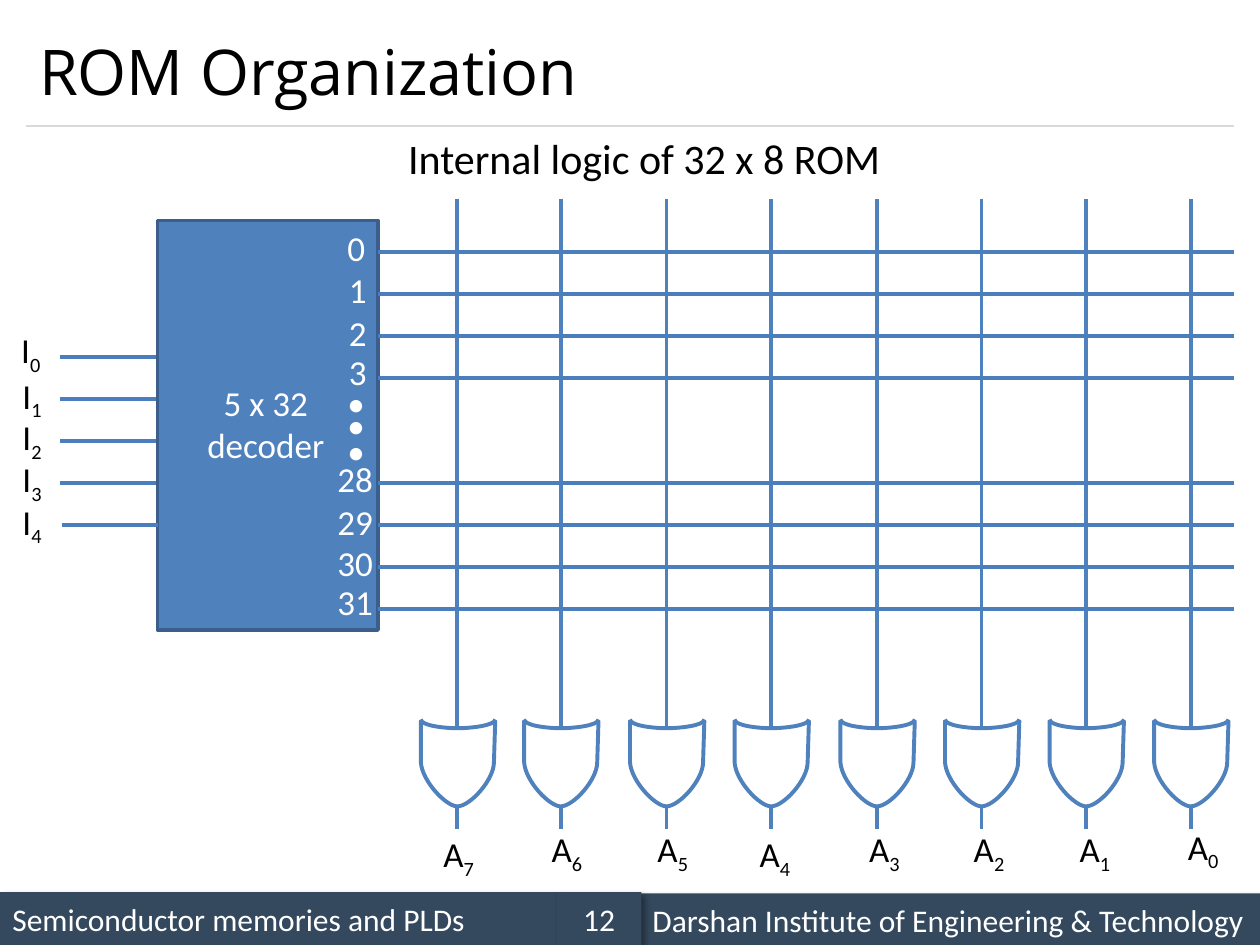
import pptx
import pptx.util
import pptx.dml.color
import pptx.enum.shapes
import pptx.enum.text
import pptx.oxml
from lxml import etree

Inches, Pt = pptx.util.Inches, pptx.util.Pt
RGBColor = pptx.dml.color.RGBColor
PP_ALIGN, MSO_ANCHOR = pptx.enum.text.PP_ALIGN, pptx.enum.text.MSO_ANCHOR
RECTANGLE = pptx.enum.shapes.MSO_SHAPE.RECTANGLE

BLACK = RGBColor(0x00, 0x00, 0x00)
WHITE = RGBColor(0xFF, 0xFF, 0xFF)
GREY = RGBColor(0xD9, 0xD9, 0xD9)
NAVY = RGBColor(0x34, 0x49, 0x5E)
BLUE = RGBColor(0x4F, 0x81, 0xBD)
WIRE = RGBColor(0x4B, 0x7E, 0xBC)
EDGE = RGBColor(0x3A, 0x5F, 0x8C)
A_NS = "http://schemas.openxmlformats.org/drawingml/2006/main"
A = f"{{{A_NS}}}"
SHADOW = (
    f'<a:effectLst xmlns:a="{A_NS}"><a:outerShdw blurRad="50800" dist="38100" dir="2700000">'
    '<a:srgbClr val="000000"><a:alpha val="40000"/></a:srgbClr>'
    '</a:outerShdw></a:effectLst>'
)


def write(sp, text, sub="", size=20, color=BLACK, font="Calibri",
          align=PP_ALIGN.LEFT, anchor=MSO_ANCHOR.TOP, wrap=True):
    """Fill a shape with one paragraph, optionally ending in a subscript."""
    tf = sp.text_frame
    tf.word_wrap = wrap
    tf.vertical_anchor = anchor
    p = tf.paragraphs[0]
    p.alignment = align
    for part in filter(None, (text, sub)):
        r = p.add_run()
        r.text = part
        r.font.name = font
        r.font.size = Pt(size)
        r.font.color.rgb = color
    if sub:
        r._r.get_or_add_rPr().set("baseline", "-25000")


def add_wire(shapes, x1, y1, x2, y2, color=WIRE, width=2):
    c = shapes.add_connector(pptx.enum.shapes.MSO_CONNECTOR.STRAIGHT,
                             Inches(x1), Inches(y1), Inches(x2), Inches(y2))
    c.line.color.rgb = color
    c.line.width = Pt(width)
    etree.SubElement(c._element.spPr, A + "effectLst")


prs = pptx.Presentation()
prs.slide_width, prs.slide_height = Inches(10), Inches(7.5)
s = prs.slides.add_slide(prs.slide_layouts[5])

title = s.shapes.title
title.left, title.top = Inches(0.21), Inches(0.12)
title.width, title.height = Inches(9.58), Inches(0.88)
write(title, "ROM Organization", size=36, font="Open Sans", anchor=MSO_ANCHOR.MIDDLE)
add_wire(s.shapes, 0.21, 1, 9.79, 1, GREY, 0.75)

# Footer bars
for left, top, width, text, align in [
    (0, 7.08, 4.42, "Semiconductor memories and PLDs", PP_ALIGN.LEFT),
    (5.08, 7.09, 4.92, "Darshan Institute of Engineering & Technology", PP_ALIGN.LEFT),
    (4.42, 7.08, 0.67, "12", PP_ALIGN.CENTER),
]:
    sp = s.shapes.add_shape(RECTANGLE, Inches(left), Inches(top), Inches(width), Inches(0.42))
    sp.fill.solid()
    sp.fill.fore_color.rgb = NAVY
    sp.line.fill.background()
    sp._element.spPr.append(pptx.oxml.parse_xml(SHADOW))
    write(sp, text, size=18, color=WHITE, align=align, anchor=MSO_ANCHOR.MIDDLE)

decoder = s.shapes.add_shape(RECTANGLE, Inches(1.25), Inches(1.75), Inches(1.75), Inches(3.25))
decoder.shadow.inherit = False
decoder.fill.solid()
decoder.fill.fore_color.rgb = BLUE
decoder.line.color.rgb = EDGE
decoder.line.width = Pt(2)

# Output columns, each a wire into an OR gate.
# Outline points are offsets from the column; curves lists where each
# run of three points forms one cubic segment.
body = [(0.3, 5.72), (0.29, 6.05), (0.29, 6.19), (0.1, 6.4), (0, 6.4),
        (-0.09, 6.4), (-0.28, 6.2), (-0.29, 6.05), (-0.29, 5.72)]
arc = [(-0.29, 5.71), (-0.29, 5.76), (-0.1, 5.78), (0, 5.78),
       (0.1, 5.78), (0.3, 5.76), (0.3, 5.71)]
for x in (3.63, 4.45, 5.29, 6.12, 6.96, 7.79, 8.62, 9.45):
    gate = s.shapes.add_group_shape().shapes
    add_wire(gate, x, 1.58, x, 5.78, BLUE, 2.25)
    add_wire(gate, x, 6.4, x, 6.58, BLUE, 2.25)
    for outline, curves in ((body, (1, 4)), (arc, (0, 3))):
        pts = [(Inches(x + dx), Inches(y)) for dx, y in outline]
        fb = gate.build_freeform(*pts[0])
        fb.add_line_segments(pts[1:], close=False)
        sp = fb.convert_to_shape()
        segments = list(sp._element.iter(A + "lnTo"))
        for start in curves:
            cubic = etree.Element(A + "cubicBezTo")
            segments[start].addprevious(cubic)
            for segment in segments[start:start + 3]:
                cubic.append(segment[0])
                segment.getparent().remove(segment)
        sp.shadow.inherit = False
        sp.fill.background()
        sp.line.color.rgb = BLUE
        sp.line.width = Pt(2.25)

# Word lines and input wires
for row in (0, 1, 2, 3, 5.5, 6.5, 7.5, 8.5):
    y = 2 + row / 3
    add_wire(s.shapes, 3, y, 9.79, y)
for i in range(5):
    y = 2 + (2.5 + i) / 3
    x = 0.49 if i == 4 else 0.48
    add_wire(s.shapes, x, y, x + 0.76, y)

# Labels: left, top, width, height, text, format
input_spots = [(0.07, 2.56), (0.08, 2.92), (0.08, 3.25), (0.08, 3.58), (0.08, 3.92)]
output_spots = [(9.33, 6.5), (8.47, 6.52), (7.63, 6.52), (6.8, 6.52),
                (5.93, 6.56), (5.12, 6.52), (4.28, 6.52), (3.42, 6.56)]
labels = [(x, y, width, 0.44, name, dict(sub=str(i), wrap=False))
          for name, width, spots in (("I", 0.37, input_spots), ("A", 0.46, output_spots))
          for i, (x, y) in enumerate(spots)]
on_decoder = dict(color=WHITE, wrap=False)
labels += [(x, y, width, 0.44, text, on_decoder) for x, y, width, text in [
    (2.66, 1.75, 0.34, "0"), (2.67, 2.08, 0.34, "1"),
    (2.67, 2.42, 0.34, "2"), (2.67, 2.73, 0.34, "3"),
    (2.58, 3.58, 0.49, "28"), (2.58, 3.92, 0.49, "29"),
    (2.58, 4.25, 0.49, "30"), (2.58, 4.56, 0.49, "31"),
    (2.66, 2.98, 0.34, "•"), (2.66, 3.15, 0.34, "•"), (2.66, 3.36, 0.34, "•"),
]]
labels += [
    (1.54, 2.98, 1.14, 0.77, "5 x 32 decoder", dict(color=WHITE, align=PP_ALIGN.CENTER)),
    (3.14, 1, 3.98, 0.5, "Internal logic of 32 x 8 ROM", dict(size=24, wrap=False)),
]
for left, top, width, height, text, style in labels:
    sp = s.shapes.add_textbox(Inches(left), Inches(top), Inches(width), Inches(height))
    sp.text_frame.auto_size = pptx.enum.text.MSO_AUTO_SIZE.SHAPE_TO_FIT_TEXT
    write(sp, text, **style)

prs.save("out.pptx")
